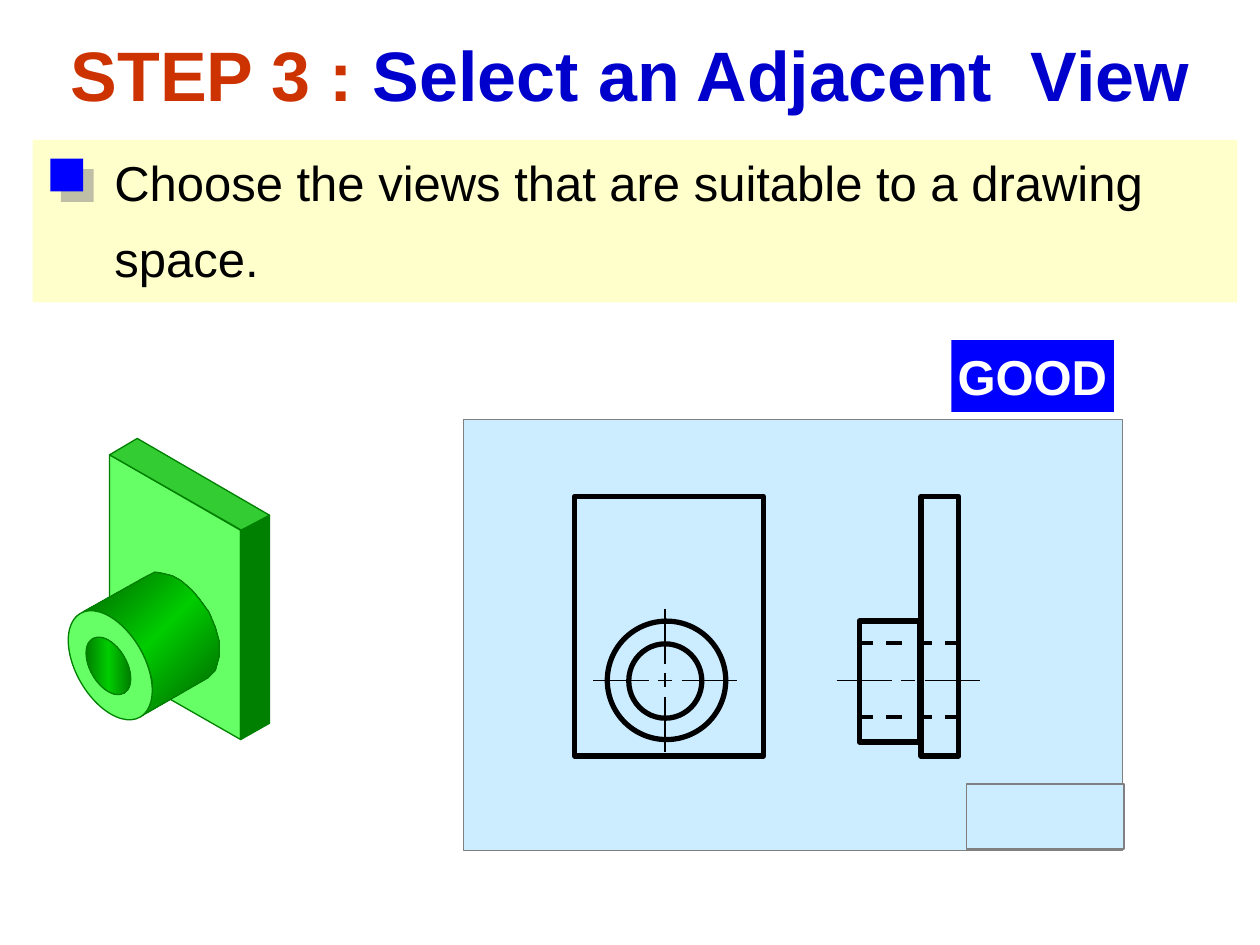
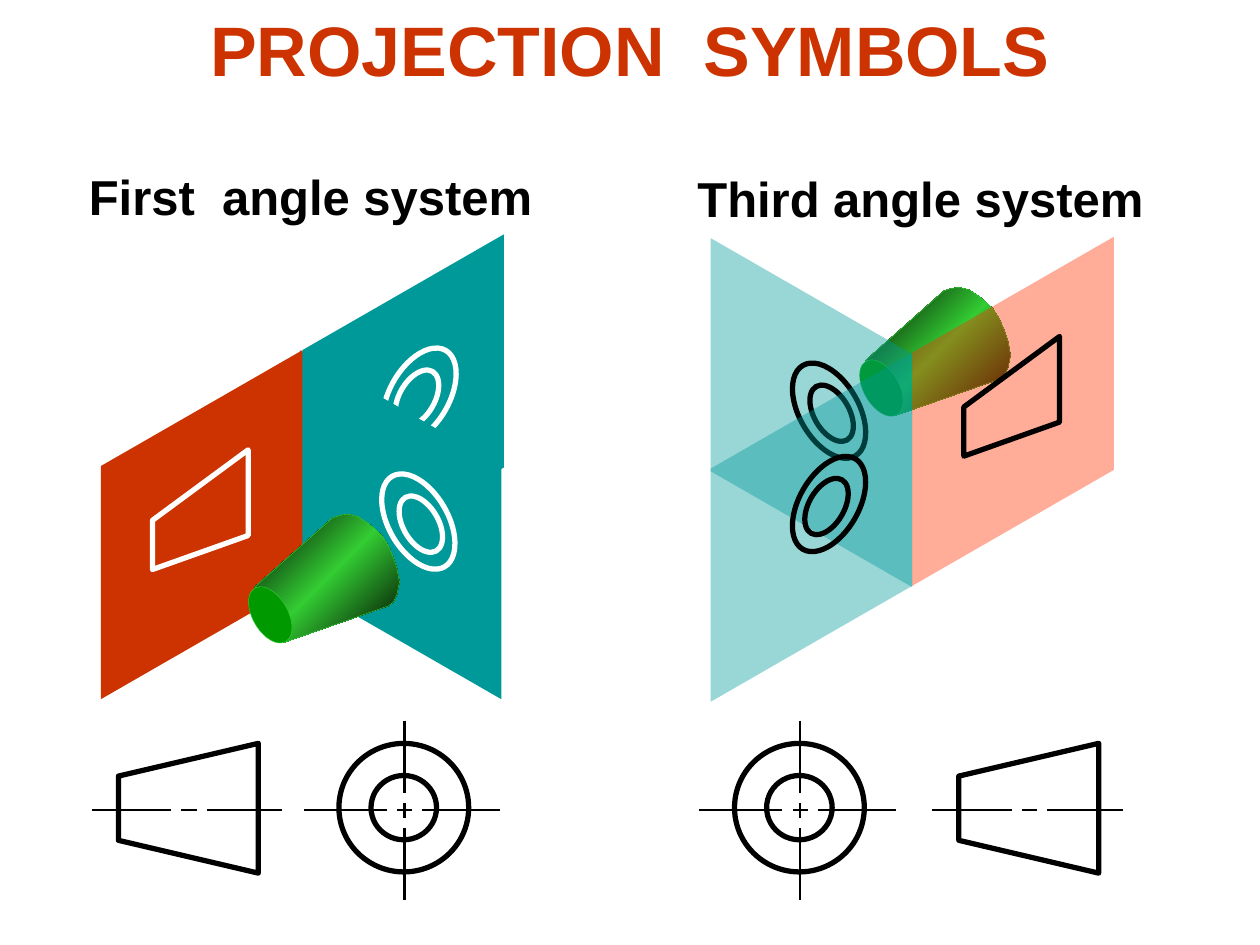
from dataclasses import dataclass

from pptx import Presentation
from pptx.dml.color import RGBColor
from pptx.enum.dml import MSO_LINE
from pptx.enum.shapes import MSO_CONNECTOR, MSO_SHAPE
from pptx.enum.text import MSO_ANCHOR, MSO_AUTO_SIZE, PP_ALIGN
from pptx.oxml import parse_xml
from pptx.oxml.ns import nsdecls, qn
from pptx.util import Inches, Pt


@dataclass(frozen=True)
class Theme:
    font: str = "Arial"
    title_size: int = 40
    body_size: int = 28
    black: str = "000000"
    white: str = "FFFFFF"
    gray: str = "808080"
    red: str = "CC3300"
    title_blue: str = "0000CC"
    bright_blue: str = "0000FF"
    cream: str = "FFFFCC"
    sheet: str = "CCECFF"
    teal: str = "009999"
    coral: str = "FF3300"
    light_green: str = "66FF66"
    mid_green: str = "33CC33"
    dark_green: str = "008000"
    cone_end: str = "009900"
    tube: tuple = ("005E00", "00CC00", "005E00")
    cone: tuple = ("000000", "33CC33", "000000")
    outline: float = 3
    see_through: int = 40


THEME = Theme()

TUBE_PLATE = [
    (0.87, 3.61), (0.87, 4.75), (1.17, 4.58), (1.29, 4.56), (1.41, 4.6),
    (1.51, 4.7), (1.63, 4.87), (1.68, 4.98), (1.72, 5.13), (1.71, 5.23),
    (1.66, 5.37), (1.35, 5.55), (1.91, 5.87), (1.91, 4.21)]
TUBE_SIDE = [
    (0.6, 4.9), (0.65, 4.89), (0.75, 4.85), (0.83, 4.88), (0.96, 4.96),
    (1.06, 5.07), (1.13, 5.18), (1.18, 5.3), (1.21, 5.41), (1.2, 5.53),
    (1.18, 5.61), (1.11, 5.69), (1.65, 5.38), (1.71, 5.32), (1.74, 5.21),
    (1.74, 5.09), (1.71, 4.98), (1.66, 4.86), (1.58, 4.75), (1.52, 4.68),
    (1.44, 4.61), (1.37, 4.57), (1.29, 4.55), (1.23, 4.54), (1.17, 4.57),
    (0.67, 4.85)]
PLATE_TOP = [(0.87, 3.61), (1.09, 3.48), (2.14, 4.09), (1.92, 4.21)]
PLATE_EDGE = [(2.14, 4.09), (1.91, 4.21), (1.91, 5.87), (2.14, 5.74)]
# Measured from the top left corner of the solid cone.
CONE_SIDE = [
    (0, 0.58), (0.06, 0.59), (0.13, 0.62), (0.2, 0.69), (0.26, 0.77),
    (0.27, 0.85), (0.28, 0.92), (0.27, 0.99), (0.23, 1.02), (1.06, 0.73),
    (1.1, 0.7), (1.13, 0.64), (1.15, 0.54), (1.13, 0.43), (1.1, 0.34),
    (1.06, 0.25), (1.01, 0.17), (0.91, 0.08), (0.82, 0.02), (0.74, 0),
    (0.68, 0.01), (0.62, 0.03)]


def rgb(color):
    return RGBColor.from_string(color)


def paint(shape, fill=None, line=None, weight=1, angle=0, opacity=100):
    """Fill with one colour, or with a gradient when fill is a tuple."""
    shape.shadow.inherit = False
    if fill is None:
        shape.fill.background()
    elif isinstance(fill, tuple):
        shape.fill.solid()
        solid = shape._element.spPr.find(qn("a:solidFill"))
        stops = "".join(
            f'<a:gs pos="{50000 * index}"><a:srgbClr val="{color}"/></a:gs>'
            for index, color in enumerate(fill))
        gradient = parse_xml(
            f'<a:gradFill {nsdecls("a")} rotWithShape="1"><a:gsLst>{stops}</a:gsLst>'
            f'<a:lin ang="{angle * 60000}" scaled="1"/></a:gradFill>')
        solid.getparent().replace(solid, gradient)
    else:
        shape.fill.solid()
        shape.fill.fore_color.rgb = rgb(fill)
        if opacity < 100:
            color = shape._element.spPr.find(qn("a:solidFill"))[0]
            color.append(parse_xml(
                f'<a:alpha {nsdecls("a")} val="{opacity * 1000}"/>'))
    if line is None:
        shape.line.fill.background()
    else:
        shape.line.color.rgb = rgb(line)
        shape.line.width = Pt(weight)
    return shape


def add_preset(page, kind, left, top, width, height, turn=0, **style):
    shape = page.shapes.add_shape(
        kind, Inches(left), Inches(top), Inches(width), Inches(height))
    shape.rotation = turn
    return paint(shape, **style)


def add_rectangle(page, *place, **style):
    return add_preset(page, MSO_SHAPE.RECTANGLE, *place, **style)


def add_ellipse(page, *place, **style):
    return add_preset(page, MSO_SHAPE.OVAL, *place, **style)


def add_outline(page, points, shift=(0, 0), **style):
    corners = [(Inches(x + shift[0]), Inches(y + shift[1])) for x, y in points]
    builder = page.shapes.build_freeform(*corners[0])
    builder.add_line_segments(corners[1:], close=True)
    return paint(builder.convert_to_shape(), **style)


def add_line(page, start, end, weight=1, dash=None):
    line = page.shapes.add_connector(
        MSO_CONNECTOR.STRAIGHT, *map(Inches, start + end))
    line.line.color.rgb = rgb(THEME.black)
    line.line.width = Pt(weight)
    if dash:
        line.line.dash_style = dash
    line._element.spPr.append(parse_xml(f'<a:effectLst {nsdecls("a")}/>'))


def add_center_line(page, x, y, before, after, vertical=False,
                    dash=0.06, gap=0.14, weight=1.5):
    """Draw a short dash on the centre and a long one on each side of it."""
    for low, high in ((-dash, dash), (-before, -gap), (gap, after)):
        if vertical:
            add_line(page, (x, y + low), (x, y + high), weight)
        else:
            add_line(page, (x + low, y), (x + high, y), weight)


def write_text(shape, *spans, size=THEME.body_size, bold=False, align=None,
               wrap=True, spacing=None, inset=0.1):
    """Write one paragraph from (text, colour) spans; a newline breaks the line."""
    frame = shape.text_frame
    frame.word_wrap = wrap
    frame.auto_size = MSO_AUTO_SIZE.NONE
    frame.vertical_anchor = MSO_ANCHOR.TOP
    frame.margin_left = frame.margin_right = Inches(inset)
    frame.margin_top = frame.margin_bottom = Inches(0.05)
    para = frame.paragraphs[0]
    para.alignment = align or PP_ALIGN.LEFT
    if spacing:
        para.line_spacing = spacing
    for text, color in spans:
        for index, part in enumerate(text.split("\n")):
            if index:
                para.add_line_break()
            span = para.add_run()
            span.text = part
            span.font.name = THEME.font
            span.font.size = Pt(size)
            span.font.bold = bold
            span.font.color.rgb = rgb(color)


def add_text(page, left, top, width, height, text, **layout):
    box = page.shapes.add_textbox(
        Inches(left), Inches(top), Inches(width), Inches(height))
    write_text(box, (text, THEME.black), **layout)


def add_titled_page(deck, top, *spans):
    page = deck.slides.add_slide(deck.slide_layouts[5])
    title = page.shapes.title
    title.left, title.top = Inches(0), Inches(top)
    title.width, title.height = Inches(10), Inches(0.77)
    write_text(title, *spans, size=THEME.title_size, bold=True,
               align=PP_ALIGN.CENTER)
    return page


def add_bullet_square(page):
    square = add_rectangle(page, 0.4, 1.26, 0.26, 0.26, fill=THEME.bright_blue)
    effects = square._element.spPr.find(qn("a:effectLst"))
    effects.append(parse_xml(
        f'<a:outerShdw {nsdecls("a")} blurRad="0" dist="{Pt(8.5)}" dir="2700000" '
        f'algn="ctr" rotWithShape="0"><a:srgbClr val="{THEME.gray}">'
        '<a:alpha val="50000"/></a:srgbClr></a:outerShdw>'))


def add_drawing_sheet(page):
    sheet = {"fill": THEME.sheet, "line": THEME.gray}
    edge = {"line": THEME.black, "weight": THEME.outline}
    thin = {"dash": 0.055, "gap": 0.13, "weight": 1}
    axis = 5.4
    add_rectangle(page, 3.68, 3.33, 5.23, 3.42, **sheet)

    add_rectangle(page, 4.56, 3.94, 1.5, 2.06, **edge)
    add_ellipse(page, 4.82, 4.93, 0.94, 0.94, **edge)
    add_ellipse(page, 4.99, 5.11, 0.58, 0.59, **edge)
    for vertical in (True, False):
        add_center_line(page, 5.28, axis, 0.57, 0.57, vertical, **thin)

    add_rectangle(page, 7.31, 3.94, 0.3, 2.06, **edge)
    add_rectangle(page, 6.82, 4.93, 0.48, 0.96, **edge)
    add_center_line(page, 7.21, axis, 0.57, 0.57, **thin)
    for y in (5.1, 5.69):
        for left, right in ((6.82, 6.93), (7.01, 7.16), (7.25, 7.4), (7.5, 7.61)):
            add_line(page, (right, y), (left, y), 2.25, MSO_LINE.DASH)
    add_rectangle(page, 7.67, 6.22, 1.25, 0.52, **sheet)


def add_plate_with_tube(page):
    edge = {"line": THEME.dark_green, "weight": 0.75}
    add_outline(page, TUBE_PLATE, fill=THEME.light_green, **edge)
    add_outline(page, TUBE_SIDE, fill=THEME.tube, angle=225, **edge)
    add_ellipse(page, 0.4, 5.01, 0.95, 0.54, turn=60, fill=THEME.light_green, **edge)
    add_ellipse(page, 0.61, 5.14, 0.5, 0.29, turn=60, fill=THEME.tube, angle=120,
                **edge)
    add_outline(page, PLATE_TOP, fill=THEME.mid_green, **edge)
    add_outline(page, PLATE_EDGE, fill=THEME.dark_green, **edge)


def add_plane(page, left, top, drop, color, opacity=100):
    """Draw a projection plane whose right side lies drop below its left side."""
    right, height = left + 1.6, 1.85
    add_outline(page, [(left, top), (right, top + drop),
                       (right, top + drop + height), (left, top + height)],
                fill=color, opacity=opacity)


def add_ring_view(page, x, y, turn, color):
    lean = 0.02 if turn < 180 else -0.02
    for center_x, center_y, width, height in (
            (x + lean, y + 0.02, 0.49, 0.28), (x, y, 0.83, 0.47)):
        add_ellipse(page, center_x - width / 2, center_y - height / 2, width, height,
                    turn=turn, line=color, weight=THEME.outline)


def add_side_view(page, left, top, color):
    add_outline(page, [(0, 0.95), (0, 0.56), (0.76, 0), (0.76, 0.68)], (left, top),
                line=color, weight=THEME.outline)


def add_solid_cone(page, left, top):
    edge = {"line": THEME.mid_green, "weight": 0.25}
    add_outline(page, CONE_SIDE, (left, top), fill=THEME.cone, angle=225, **edge)
    add_ellipse(page, left - 0.12, top + 0.66, 0.49, 0.28, turn=60,
                fill=THEME.cone_end, **edge)


def add_projection_symbol(page, ring_x, cone_x):
    edge = {"line": THEME.black, "weight": THEME.outline}
    axis = 6.43
    add_preset(page, MSO_SHAPE.DONUT, ring_x - 0.52, 5.9, 1.03, 1.02, **edge)
    add_outline(page, [(0.55, 5.9), (0.55, 6.93), (-0.56, 6.67), (-0.56, 6.16)],
                (cone_x, 0), **edge)
    add_center_line(page, ring_x, axis, 0.8, 0.76)
    add_center_line(page, ring_x, axis, 0.71, 0.71, vertical=True)
    add_center_line(page, cone_x, axis, 0.77, 0.74)


def build_adjacent_view(deck):
    page = add_titled_page(deck, 0.2, ("STEP 3 : ", THEME.red),
                           ("Select an Adjacent  View", THEME.title_blue))
    add_rectangle(page, 0.26, 1.11, 9.56, 1.29, fill=THEME.cream)
    add_text(page, 0.81, 1.02, 8.36, 1.32,
             "Choose the views that are suitable to a drawing\nspace.",
             wrap=False, spacing=1.3)
    add_bullet_square(page)
    add_drawing_sheet(page)
    label = add_rectangle(page, 7.55, 2.7, 1.29, 0.57, fill=THEME.bright_blue)
    write_text(label, ("GOOD", THEME.white), bold=True, wrap=False, inset=0.05)
    add_plate_with_tube(page)


def build_projection_symbols(deck):
    page = add_titled_page(deck, 0, ("PROJECTION  SYMBOLS", THEME.red))
    heading = {"bold": True, "align": PP_ALIGN.CENTER}
    rise, clear = 0.92, THEME.see_through

    add_text(page, 0.45, 1.27, 4.03, 0.57, "First  angle system", **heading)
    add_plane(page, 2.4, 2.78, -rise, THEME.teal)
    add_ring_view(page, 3.33, 3.14, 300, THEME.white)
    add_plane(page, 2.38, 2.78, rise, THEME.teal)
    add_plane(page, 0.8, 3.7, -rise, THEME.red)
    add_ring_view(page, 3.32, 4.14, 60, THEME.white)
    add_side_view(page, 1.21, 3.57, THEME.white)
    add_solid_cone(page, 2.02, 4.08)
    add_projection_symbol(page, ring_x=3.21, cone_x=1.5)

    add_text(page, 5.39, 1.29, 3.83, 0.57, "Third angle system", **heading)
    add_solid_cone(page, 6.87, 2.28)
    add_plane(page, 5.64, 1.89, rise, THEME.teal, clear)
    add_plane(page, 7.24, 2.8, -rise, THEME.coral, clear)
    add_ring_view(page, 6.58, 3.26, 60, THEME.black)
    add_side_view(page, 7.65, 2.67, THEME.black)
    add_projection_symbol(page, ring_x=6.35, cone_x=8.17)
    add_plane(page, 5.64, 3.72, -rise, THEME.teal, clear)
    add_ring_view(page, 6.58, 4, 300, THEME.black)


def main():
    deck = Presentation()
    deck.slide_width, deck.slide_height = Inches(10), Inches(7.5)
    build_adjacent_view(deck)
    build_projection_symbols(deck)
    deck.save("out.pptx")


if __name__ == "__main__":
    main()
